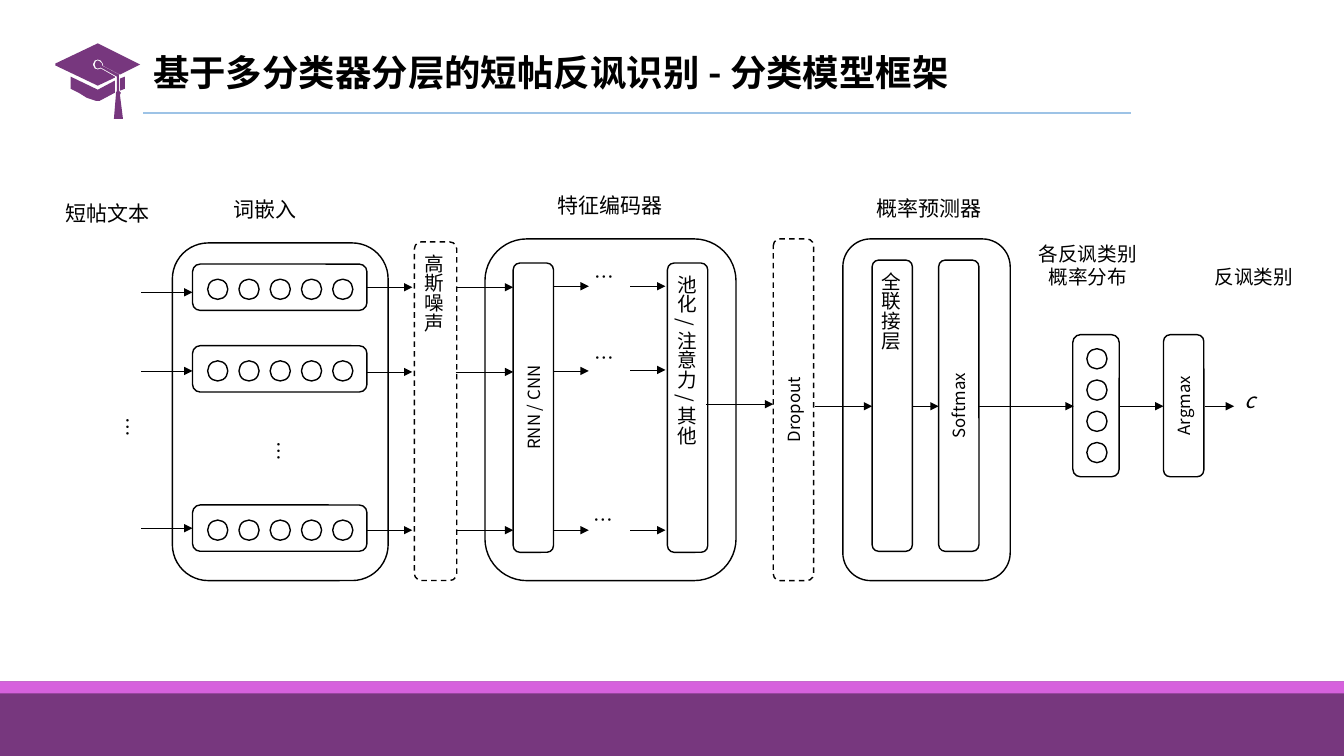
from dataclasses import dataclass
from lxml import etree
from pptx import Presentation
from pptx.dml.color import RGBColor
from pptx.enum.dml import MSO_LINE
from pptx.enum.shapes import MSO_CONNECTOR, MSO_SHAPE
from pptx.enum.text import MSO_ANCHOR, PP_ALIGN
from pptx.oxml.ns import qn
from pptx.util import Inches, Pt

ROUND, OVAL, RECT = MSO_SHAPE.ROUNDED_RECTANGLE, MSO_SHAPE.OVAL, MSO_SHAPE.RECTANGLE
STRAIGHT, DASH = MSO_CONNECTOR.STRAIGHT, MSO_LINE.DASH
LEFT, CENTER = PP_ALIGN.LEFT, PP_ALIGN.CENTER
TOP, MIDDLE, BOTTOM = MSO_ANCHOR.TOP, MSO_ANCHOR.MIDDLE, MSO_ANCHOR.BOTTOM


@dataclass(frozen=True)
class Theme:
    font: str = "Noto Sans CJK SC"
    ink: str = "000000"
    plum: str = "77377E"
    pink: str = "D661DD"
    sky: str = "9DC3E6"
    title: int = 26
    head: int = 15
    body: int = 14
    small: int = 12
    edge: float = 1
    thin: float = 0.5
    rule: float = 1.5


T = Theme()
WIDE, HIGH = 13.33, 7.5

TITLE = "基于多分类器分层的短帖反讽识别 - 分类模型框架"
# Text, left, top, width, height, size, alignment, wrap
LABELS = [
    ("短帖文本", 0.55, 1.94, 1.04, 0.35, T.head, LEFT, False),
    ("词嵌入", 2.22, 1.9, 0.83, 0.35, T.head, LEFT, False),
    ("特征编码器", 4.87, 1.86, 2.36, 0.35, T.head, CENTER, True),
    ("概率预测器", 8.03, 1.89, 2.36, 0.35, T.head, CENTER, True),
    ("各反讽类别\n概率分布", 9.61, 2.35, 2.36, 0.57, T.body, CENTER, True),
    ("反讽类别", 11.7, 2.58, 1.47, 0.34, T.body, CENTER, True),
]
# Left, top, width, height
FRAMES = [(1.71, 2.41, 2.14, 3.35), (4.81, 2.37, 2.49, 3.39), (8.36, 2.37, 1.66, 3.39)]
# Text, left, top, width, height, dashed, upright
BARS = [
    ("高斯噪声", 4.11, 2.4, 0.42, 3.36, True, True),
    ("RNN / CNN", 5.09, 2.61, 0.4, 2.87, False, False),
    ("池化 / 注意力 / 其他", 6.62, 2.61, 0.4, 2.87, False, True),
    ("Dropout", 7.67, 2.37, 0.4, 3.39, True, False),
    ("全联接层", 8.65, 2.58, 0.4, 2.89, False, True),
    ("Softmax", 9.31, 2.58, 0.4, 2.89, False, False),
    ("Argmax", 11.54, 3.32, 0.4, 1.41, False, False),
]
# Word vectors and class odds share one cell size and pitch
ROWS = (2.62, 3.43, 5.01)
CELL, PITCH, PAD = 0.2, 0.31, 0.15
VEC_X, VEC_W, VEC_H, VEC_N = 1.91, 1.73, 0.46, 5
ODDS_X, ODDS_Y, ODDS_H, ODDS_N = 10.64, 3.32, 1.41, 4
# From x, to x, heights of the arrows
ARROWS = [
    (1.4, 1.91, (2.9, 3.68, 5.24)),
    (3.64, 4.09, (2.85, 3.69, 5.26)),
    (4.52, 5.09, (2.85, 3.69, 5.26)),
    (5.49, 5.84, (2.84, 3.68, 5.26)),
    (6.25, 6.6, (2.84, 3.67, 5.26)),
    (7, 7.67, (4.01,)),
] + [(a, b, (4.03,)) for a, b in [(8.08, 8.65), (9.05, 9.31), (9.71, 10.65),
                                  (11.11, 11.54), (11.95, 12.24)]]
# Left, top, rotation
DOTS = [(5.8, 2.58, 0), (5.8, 3.38, 0), (5.79, 4.99, 0), (1.09, 4.05, 90), (2.59, 4.29, 90)]
# Graduation cap outlines, in hundredths of an inch
CAP = [
    [(119, 90), (124, 88), (124, 76), (119, 78)],
    [(70, 76), (70, 88), (78, 92), (86, 97), (95, 100), (99, 100), (114, 92),
     (114, 80), (97, 89)],
    [(118, 75), (118, 74), (101, 65), (101, 63), (99, 61), (97, 60), (95, 61),
     (94, 64), (95, 67), (97, 68), (100, 67), (116, 76)],
    [(139, 64), (97, 43), (55, 63), (55, 65), (97, 85), (114, 77), (114, 76),
     (100, 68), (97, 69), (94, 68), (92, 64), (94, 60), (97, 59), (100, 60),
     (102, 63), (102, 65), (119, 74)],
    [(118, 75), (118, 90), (120, 92), (119, 94), (122, 118), (113, 118),
     (115, 94), (115, 92), (116, 90), (116, 76)],
]

deck = Presentation()
deck.slide_width, deck.slide_height = Inches(WIDE), Inches(HIGH)
slide = deck.slides.add_slide(deck.slide_layouts[6])
shapes = slide.shapes


def rgb(code):
    return RGBColor.from_string(code)


def write(shape, text, size, align=LEFT, anchor=TOP, wrap=True, bold=None, slant=None):
    frame = shape.text_frame
    frame.text = text
    frame.word_wrap = wrap
    frame.vertical_anchor = anchor
    for para in frame.paragraphs:
        para.alignment = align
        for run in para.runs:
            font = run.font
            font.name, font.size = T.font, Pt(size)
            font.bold, font.italic = bold, slant
            font.color.rgb = rgb(T.ink)
            east = etree.SubElement(run._r.get_or_add_rPr(), qn("a:ea"))
            east.set("typeface", T.font)
    return frame


def label(text, x, y, w, h, size, align=LEFT, wrap=True, **look):
    box = shapes.add_textbox(*map(Inches, (x, y, w, h)))
    write(box, text, size, align, wrap=wrap, **look)
    return box


def outline(kind, x, y, w, h):
    shape = shapes.add_shape(kind, *map(Inches, (x, y, w, h)))
    shape.shadow.inherit = False
    shape.fill.background()
    shape.line.color.rgb = rgb(T.ink)
    shape.line.width = Pt(T.edge)
    return shape


def paint(shape, color):
    shape.shadow.inherit = False
    shape.fill.solid()
    shape.fill.fore_color.rgb = rgb(color)
    shape.line.fill.background()


def line(x1, x2, y, color, width, arrow=False):
    link = shapes.add_connector(STRAIGHT, *map(Inches, (x1, y, x2, y)))
    link.line.color.rgb = rgb(color)
    link.line.width = Pt(width)
    if arrow:
        etree.SubElement(link.line._get_or_add_ln(), qn("a:tailEnd")).set("type", "triangle")
    etree.SubElement(link._element.spPr, qn("a:effectLst"))


def cap():
    first, *rest = CAP
    pen = shapes.build_freeform(*first[0], scale=Inches(0.01))
    pen.add_line_segments(first[1:], close=True)
    for path in rest:
        pen.move_to(*path[0])
        pen.add_line_segments(path[1:], close=True)
    paint(pen.convert_to_shape(), T.plum)


head = label(TITLE, 1.42, 0.37, 10.12, 0.75, T.title, bold=True)
head.text_frame.vertical_anchor = MIDDLE
head.text_frame.paragraphs[0].line_spacing = 0.9
cap()
line(1.42, 11.22, 1.12, T.sky, T.rule)

for place in FRAMES:
    outline(ROUND, *place)
for y in ROWS:
    outline(ROUND, VEC_X, y, VEC_W, VEC_H)
    for i in range(VEC_N):
        outline(OVAL, VEC_X + PAD + i * PITCH, y + PAD, CELL, CELL)

for text, x, y, w, h, dashed, upright in BARS:
    bar = outline(ROUND, x, y, w, h)
    if dashed:
        bar.line.dash_style = DASH
    size, anchor, turn = (T.body, BOTTOM, "eaVert") if upright else (T.small, MIDDLE, "vert270")
    frame = write(bar, text, size, CENTER, anchor)
    bar._element.txBody.bodyPr.set("vert", turn)
    if upright:
        frame.margin_left = frame.margin_right = Inches(0.05)
        frame.margin_top = frame.margin_bottom = Inches(0.1)

shift = (ODDS_H - VEC_H) / 2
odds = outline(ROUND, ODDS_X - shift, ODDS_Y + shift, ODDS_H, VEC_H)
odds.rotation = 90
for i in range(ODDS_N):
    outline(OVAL, ODDS_X + 0.14, ODDS_Y + 0.14 + i * PITCH, CELL, CELL)

for x1, x2, heights in ARROWS:
    for y in heights:
        line(x1, x2, y, T.ink, T.thin, arrow=True)
for item in LABELS:
    label(*item)
for x, y, turn in DOTS:
    label("…", x, y, 0.36, 0.34, T.body, wrap=False).rotation = turn
label("c", 12.24, 3.79, 0.31, 0.35, T.head, wrap=False, slant=True)

for h, color in ((0.74, T.plum), (0.12, T.pink)):
    paint(shapes.add_shape(RECT, 0, Inches(6.76), Inches(WIDE), Inches(h)), color)

deck.save("out.pptx")
